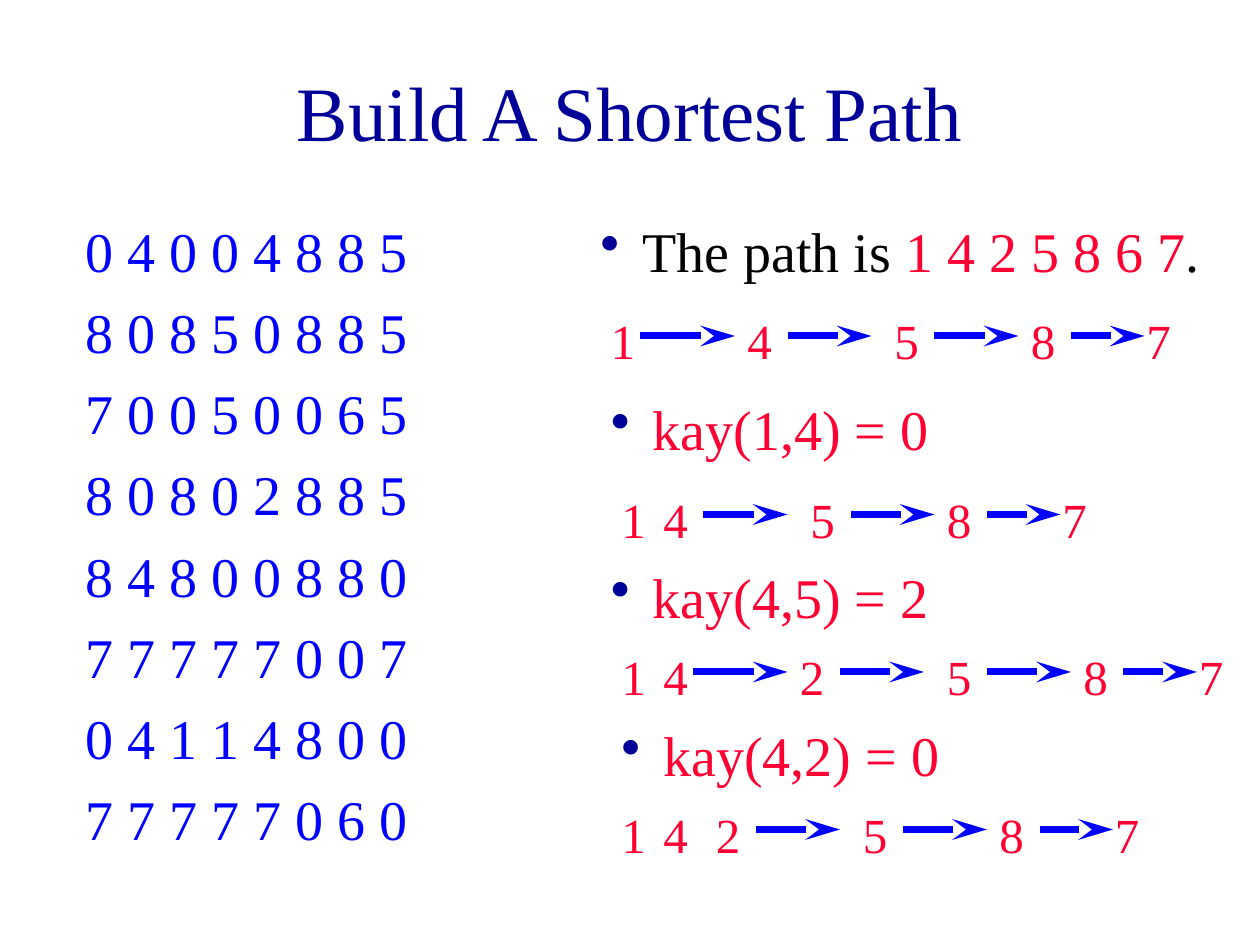
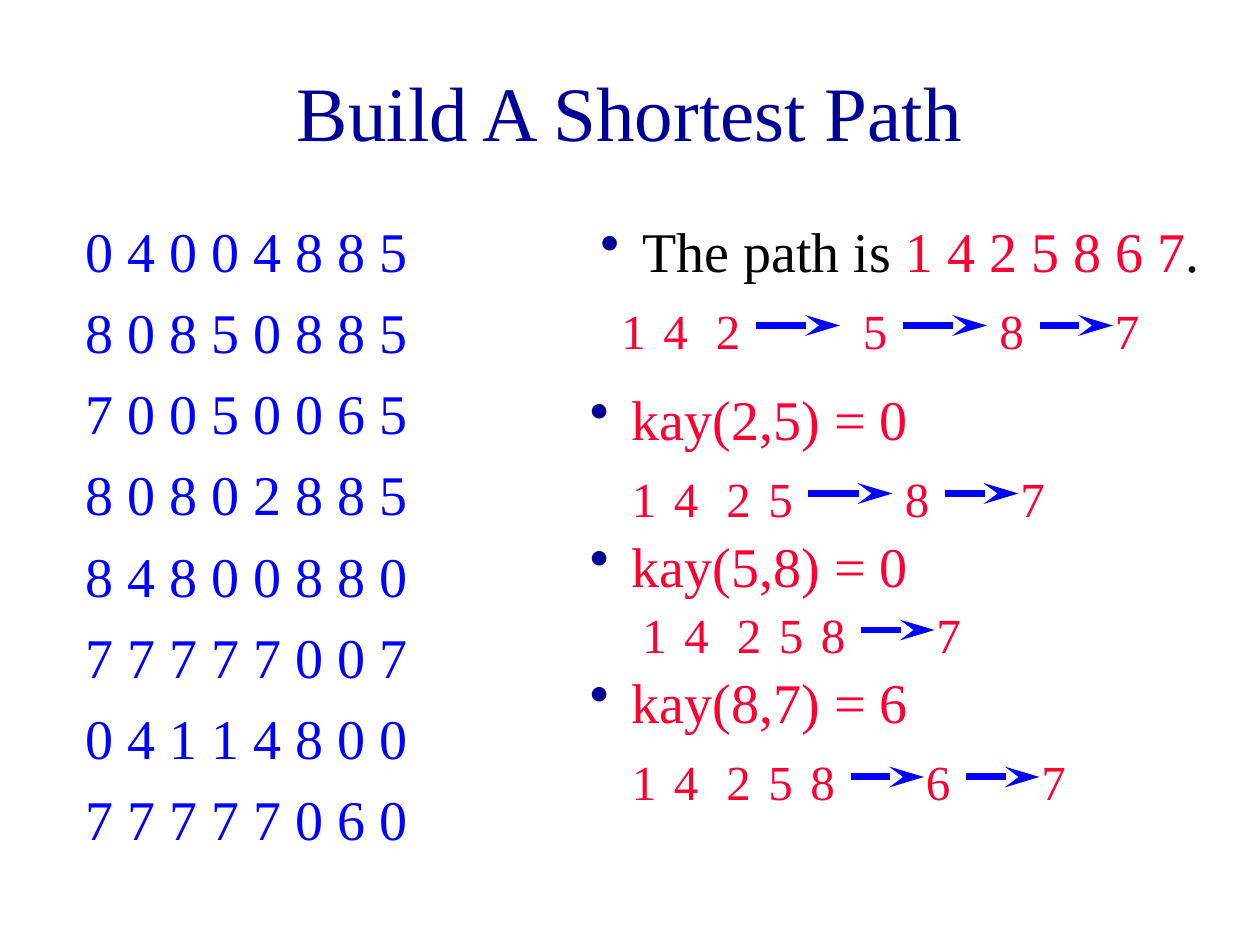
from dataclasses import dataclass

from lxml import etree
from pptx import Presentation
from pptx import util as u
from pptx.dml import color
from pptx.enum import shapes, text
from pptx.oxml import ns

COLS, ROWS = 120, 90
WIDE, HIGH = u.Inches(10), u.Inches(7.5)


@dataclass(frozen=True)
class Theme:
    font: str = "Times New Roman"
    navy: str = "000099"
    blue: str = "0000FF"
    red: str = "FF0033"
    black: str = "000000"
    head: int = 44
    body: int = 32
    node: int = 28
    line: int = 4
    gap: int = 8


T = Theme()

KAY = ["04004885", "80850885", "70050065", "80802885",
       "84800880", "77777007", "04114800", "77777060"]

PLAIN = {"2": 5}
REACH = {"2": (13, 4, 13), "4": (13, 4, 13), "5": (14, 5, 13),
         "6": (11, 5, 12), "7": (11, 5, 12), "8": (13, 5, 13)}

STEPS = [
    [("1>4>5>8>7", 57, 29),
     ("kay(1,4) = 0", 57, 37), ("14>5>8>7", 58, 46),
     ("kay(4,5) = 2", 57, 53), ("14>2>5>8>7", 58, 61),
     ("kay(4,2) = 0", 58, 68), ("142>5>8>7", 58, 76)],
    [("142>5>8>7", 58, 28),
     ("kay(2,5) = 0", 55, 36), ("1425>8>7", 59, 44),
     ("kay(5,8) = 0", 55, 50), ("14258>7", 60, 57),
     ("kay(8,7) = 6", 55, 63), ("14258>6>7", 59, 71)],
]


def across(col):
    return round(WIDE * col / COLS)


def down(row):
    return round(HIGH * row / ROWS)


def dot(para):
    props = para._p.get_or_add_pPr()
    props.set("marL", str(across(4)))
    props.set("indent", str(-across(4)))
    tint = etree.SubElement(props, ns.qn("a:buClr"))
    etree.SubElement(tint, ns.qn("a:srgbClr"), val=T.navy)
    etree.SubElement(props, ns.qn("a:buChar"), char="•")


def write(home, lines, col, row, wide, high, size=T.body, hue=T.red,
          align=text.PP_ALIGN.LEFT, anchor=text.MSO_ANCHOR.TOP, bullet=False):
    box = home.add_textbox(across(col), down(row), across(wide), down(high))
    frame = box.text_frame
    frame.word_wrap = True
    frame.vertical_anchor = anchor
    for i, line in enumerate(lines):
        para = frame.add_paragraph() if i else frame.paragraphs[0]
        para.alignment = align
        if i:
            para.space_before = u.Pt(T.gap)
        if bullet:
            dot(para)
        for words, tint in [(line, hue)] if isinstance(line, str) else line:
            run = para.add_run()
            run.text = words
            run.font.name = T.font
            run.font.size = u.Pt(size)
            run.font.color.rgb = color.RGBColor.from_string(tint)


def point(home, line, col, row):
    write(home, [line], col, row, 61, 7.5, bullet=True)


def arrow(home, start, end, row):
    line = home.add_connector(shapes.MSO_CONNECTOR.STRAIGHT,
                              across(start), down(row), across(end), down(row))
    line.line.color.rgb = color.RGBColor.from_string(T.blue)
    line.line.width = u.Pt(T.line)
    etree.SubElement(line.line._get_or_add_ln(), ns.qn("a:tailEnd"),
                     type="stealth", w="med", len="lg")
    etree.SubElement(line._element.spPr, ns.qn("a:effectLst"))


def chain(home, route, col, row):
    group = home.add_group_shape().shapes
    linked = False
    for i, mark in enumerate(route):
        if mark == ">":
            linked = True
            continue
        if linked:
            step, start, end = REACH[mark]
            arrow(group, col + start, col + end, row + 3)
            col += step
        elif i:
            col += PLAIN.get(mark, 4)
        write(group, [mark], col, row, 5, 6.8, size=T.node)
        linked = False


def build(deck, steps):
    home = deck.slides.add_slide(deck.slide_layouts[6]).shapes
    write(home, ["Build A Shortest Path"], 9, 3, 102, 15, size=T.head, hue=T.navy,
          align=text.PP_ALIGN.CENTER, anchor=text.MSO_ANCHOR.MIDDLE)
    write(home, [" ".join(row) for row in KAY], 7, 20, 38, 62, hue=T.blue)
    point(home, [("The path is ", T.black), ("1 4 2 5 8 6 7", T.red),
                 (".", T.black)], 56, 20)
    for words, col, row in steps:
        draw = point if words.startswith("kay") else chain
        draw(home, words, col, row)


def main():
    deck = Presentation()
    deck.slide_width, deck.slide_height = WIDE, HIGH
    for steps in STEPS:
        build(deck, steps)
    deck.save("out.pptx")


if __name__ == "__main__":
    main()
